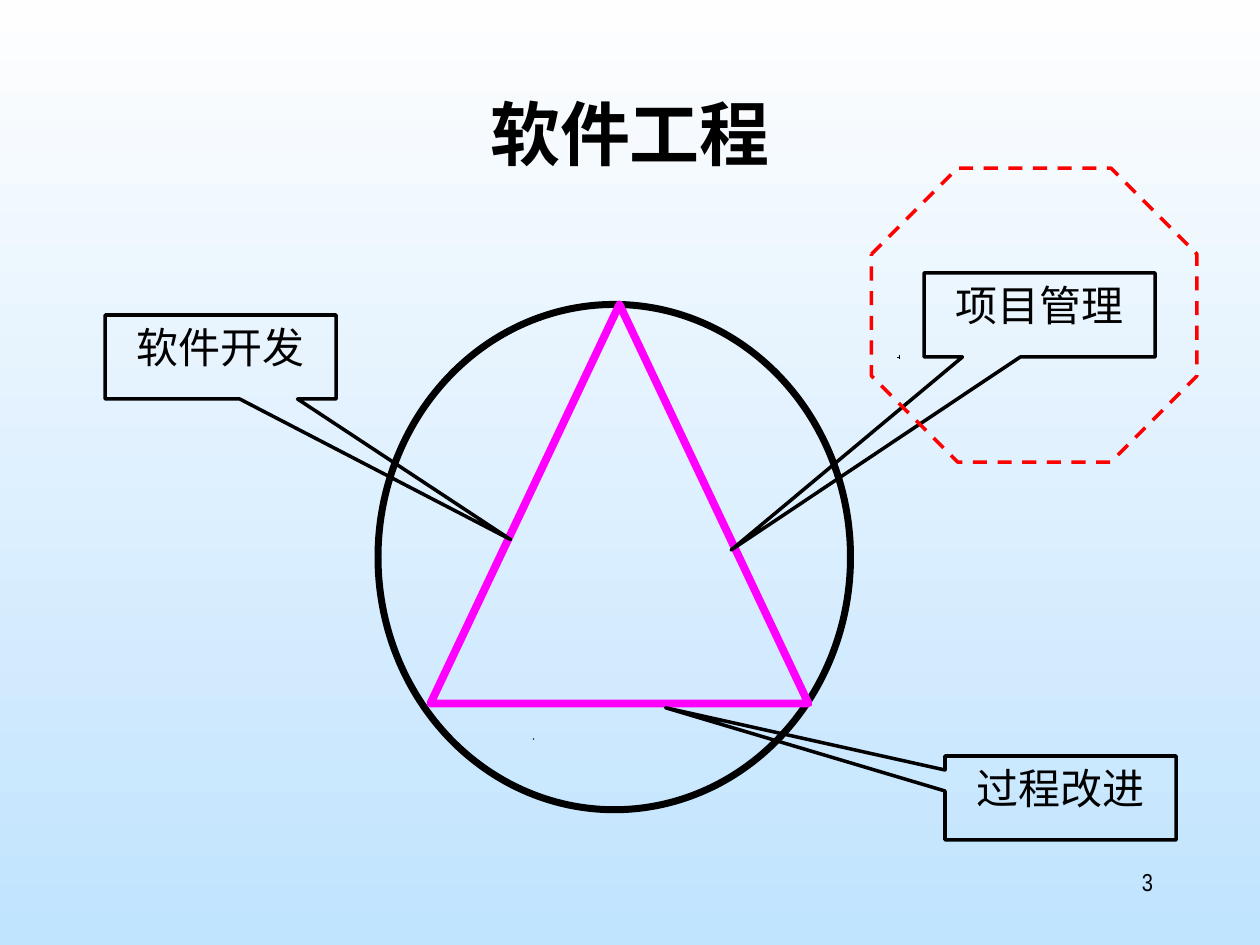
from lxml import etree
from pptx import Presentation
from pptx.dml.color import RGBColor
from pptx.enum.dml import MSO_LINE
from pptx.enum.shapes import MSO_CONNECTOR, MSO_SHAPE
from pptx.enum.text import MSO_ANCHOR, PP_ALIGN
from pptx.oxml.ns import qn
from pptx.util import Pt

TOP = MSO_ANCHOR.TOP
MID, RIGHT = PP_ALIGN.CENTER, PP_ALIGN.RIGHT
RECT, OVAL = MSO_SHAPE.RECTANGLE, MSO_SHAPE.OVAL
TRI, OCT = MSO_SHAPE.ISOSCELES_TRIANGLE, MSO_SHAPE.OCTAGON
CALL = MSO_SHAPE.RECTANGULAR_CALLOUT
LINE, DASH = MSO_CONNECTOR.STRAIGHT, MSO_LINE.DASH
HEX = {"sky": "FEFEFE", "blue": "C0E3FE", "ink": "000000",
       "pink": "FF00FF", "red": "FF0000"}
COL = {name: RGBColor.from_string(val) for name, val in HEX.items()}
CJK, LATIN = "Noto Sans CJK SC", "Arial Narrow"

deck = Presentation()
deck.slide_width, deck.slide_height = Pt(720), Pt(540)
slide = deck.slides.add_slide(deck.slide_layouts[6])
shapes = slide.shapes


def write(shape, text, align, font):
    """Put one top-anchored line of text in a shape."""
    frame = shape.text_frame
    frame.word_wrap = True
    frame.vertical_anchor = TOP
    para = frame.paragraphs[0]
    para.alignment = align
    run = para.add_run()
    run.text = text
    for key, val in font.items():
        setattr(run.font, key, val)
    run.font.color.rgb = COL["ink"]
    east = etree.SubElement(run.font._element, qn("a:ea"))
    east.set("typeface", CJK)


def draw(kind, box, color, width, adj=()):
    """Add an unfilled outline shape."""
    shape = shapes.add_shape(kind, *map(Pt, box))
    shape.shadow.inherit = False
    shape.fill.background()
    shape.line.color.rgb = COL[color]
    shape.line.width = Pt(width)
    for i, val in enumerate(adj):
        shape.adjustments[i] = val
    return shape


# Background, running from top to bottom
back = slide.background.fill
back.gradient()
back.gradient_angle = 270
for stop, name in zip(back.gradient_stops, ("sky", "blue")):
    stop.color.rgb = COL[name]

# Title
title = shapes.add_textbox(Pt(54), Pt(48), Pt(612), Pt(90))
write(title, "软件工程", MID, {"size": Pt(40), "bold": True, "name": CJK})

# Small specks
for dx, dy in ((0.75, 0), (0, 0.75)):
    speck = shapes.add_connector(LINE, Pt(513.5), Pt(204),
                                 Pt(513.5 + dx), Pt(204 + dy))
    speck.line.color.rgb = COL["ink"]
    speck.line.width = 0
    etree.SubElement(speck._element.spPr, qn("a:effectLst"))
dot = draw(RECT, (304.5, 422, 0.75, 0.75), "ink", 0)
dot.fill.solid()
dot.fill.fore_color.rgb = COL["ink"]
dot.line.fill.background()

# Circle and triangle
draw(OVAL, (216, 174, 270, 288.75), "ink", 4)
draw(TRI, (246, 174, 216, 228), "pink", 4.5)

# Callouts pointing at the three sides
for text, x, y, adj in (
    ("软件开发", 60, 180, (1.256, 2.174)),
    ("项目管理", 528, 156, (-1.335, 2.799)),
    ("过程改进", 540, 432, (-1.71, -1.075)),
):
    note = draw(CALL, (x, y, 132, 48), "ink", 2, adj)
    write(note, text, MID, {"size": Pt(24), "name": LATIN})

# Highlight around project management
ring = draw(OCT, (498, 96, 186, 168), "red", 2, (0.293,))
ring.line.dash_style = DASH

# Page number
page = shapes.add_textbox(Pt(516), Pt(492), Pt(150), Pt(36))
write(page, "3", RIGHT, {"size": Pt(14), "name": LATIN})

deck.save("out.pptx")
